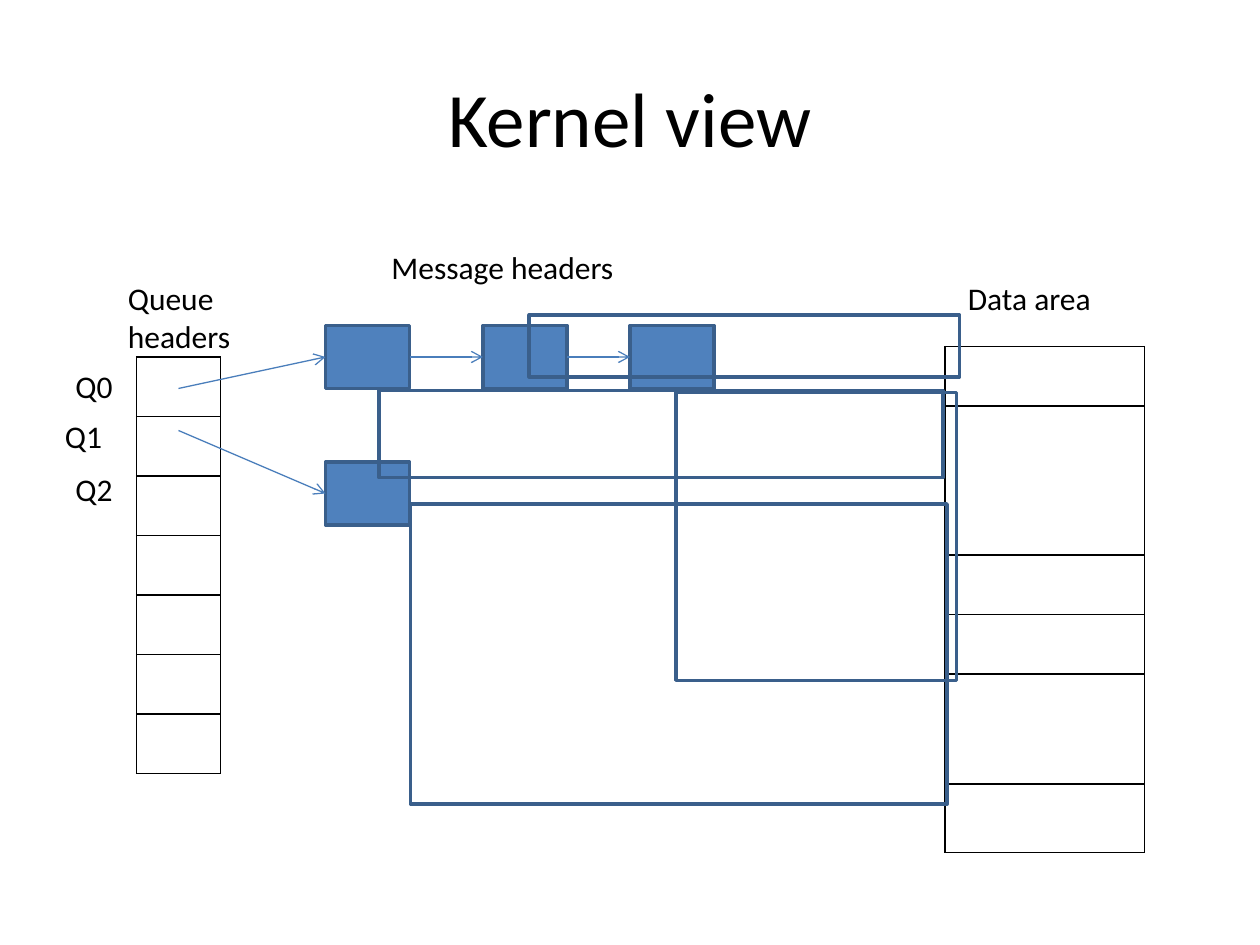
from lxml import etree
from pptx import Presentation, util as u
from pptx.dml.color import RGBColor
from pptx.enum import shapes as sh, text as tx
from pptx.oxml import ns

COLS, ROWS = 120, 90  # slide grid, 12 cells to the inch
FONT = "Calibri"
BLACK, FILL, EDGE, LINK = "000000", "4F81BD", "3A5F8B", "4A7EBB"
LEFT, RIGHT = 1, 3  # connection sites of a rectangle

deck = Presentation()
deck.slide_width, deck.slide_height = u.Inches(10), u.Inches(7.5)
CELL = deck.slide_width / COLS


def grid(*vals):
    return [u.Emu(round(v * CELL)) for v in vals]


def color(code):
    return RGBColor.from_string(code)


def style(par, size):
    par.font.name, par.font.size = FONT, u.Pt(size)
    par.font.color.rgb = color(BLACK)


def title(slide, box, words):
    head = slide.shapes.title
    head.left, head.top, head.width, head.height = grid(*box)
    frame = head.text_frame
    frame.text = words
    frame.vertical_anchor = tx.MSO_ANCHOR.MIDDLE
    frame.paragraphs[0].alignment = tx.PP_ALIGN.CENTER
    style(frame.paragraphs[0], 44)


def label(slide, box, words):
    frame = slide.shapes.add_textbox(*grid(*box)).text_frame
    frame.word_wrap = True
    frame.text = words
    style(frame.paragraphs[0], 18)


def border(cell):
    props = cell._tc.get_or_add_tcPr()
    for side in ("lnL", "lnR", "lnT", "lnB"):
        line = etree.SubElement(props, ns.qn("a:" + side), w=str(u.Pt(1)))
        solid = etree.SubElement(line, ns.qn("a:solidFill"))
        etree.SubElement(solid, ns.qn("a:srgbClr"), val=BLACK)


def stack(slide, box, rows):
    """One-column table; rows are heights in grid cells."""
    x, y, w = box
    table = slide.shapes.add_table(len(rows), 1, *grid(x, y, w, sum(rows))).table
    table.first_row = table.horz_banding = False
    table.columns[0].width = grid(w)[0]
    for row, high in zip(table.rows, rows):
        row.height = grid(high)[0]
        border(row.cells[0])
        row.cells[0].fill.background()


def rect(slide, box, fill=None):
    item = slide.shapes.add_shape(sh.MSO_SHAPE.RECTANGLE, *grid(*box))
    item.shadow.inherit = False
    if fill:
        item.fill.solid()
        item.fill.fore_color.rgb = color(fill)
    else:
        item.fill.background()
    item.line.color.rgb, item.line.width = color(EDGE), u.Pt(2)
    return item


def arrow(slide, start, goal):
    """Arrow from a point or a shape's right side to a shape's left side."""
    free = isinstance(start, tuple)
    spot = grid(*start) if free else (0, 0)
    link = slide.shapes.add_connector(sh.MSO_CONNECTOR.STRAIGHT, *spot, *spot)
    if not free:
        link.begin_connect(start, RIGHT)
    link.end_connect(goal, LEFT)
    link.line.color.rgb, link.line.width = color(LINK), u.Pt(0.75)
    etree.SubElement(link.line._get_or_add_ln(), ns.qn("a:tailEnd"), type="arrow")
    etree.SubElement(link._element.spPr, ns.qn("a:effectLst"))


def chain(slide, box, steps, start):
    """Linked message headers, each shifted right by its step."""
    x, y, w, h = box
    last = start
    for step in steps:
        node = rect(slide, (x + step, y, w, h), FILL)
        arrow(slide, last, node)
        last = node


def queues(slide, box):
    x, y, w = box
    stack(slide, box, [5.67] * 7)
    label(slide, (x - 2, y - 8, 15, 8.4), "Queue headers")
    # Row names left of the column
    for name, left, top in (("Q0", 7, 0.4), ("Q1", 8, 5.1), ("Q2", 7, 10.2)):
        label(slide, (x - left, y + top, 7, 4.8), name)


def messages(slide, box):
    x, y, w, h = box
    label(slide, (x + 5.1, y - 8, 31.8, 4.8), "Message headers")
    chain(slide, box, (0, 15, 29), (x - 14, y + 6))
    chain(slide, (x, y + 13, w, h), (0,), (x - 14, y + 10))


def data(slide, box):
    x, y, w = box
    stack(slide, box, [5.67, 14.17, 5.67, 5.67, 10.5, 6.5])
    label(slide, (x + 1, y - 7, 18, 4.8), "Data area")


def frames(slide, x, y):
    """Open rectangles between the headers and the data area."""
    for left, top, w, h in (
        (5.1, 6.2, 53.7, 8.3),
        (19.4, -1, 41, 5.9),
        (33.4, 6.4, 26.7, 27.4),
        (8.1, 17, 51.1, 28.6),
    ):
        rect(slide, (x + left, y + top, w, h))


def main():
    slide = deck.slides.add_slide(deck.slide_layouts[5])
    title(slide, (6, 3.6, COLS - 12, 15), "Kernel view")
    queues(slide, (13, 34, 8))
    messages(slide, (31, 31, 8, 6))
    data(slide, (90, 33, 19))
    frames(slide, 31, 31)
    deck.save("out.pptx")


if __name__ == "__main__":
    main()
